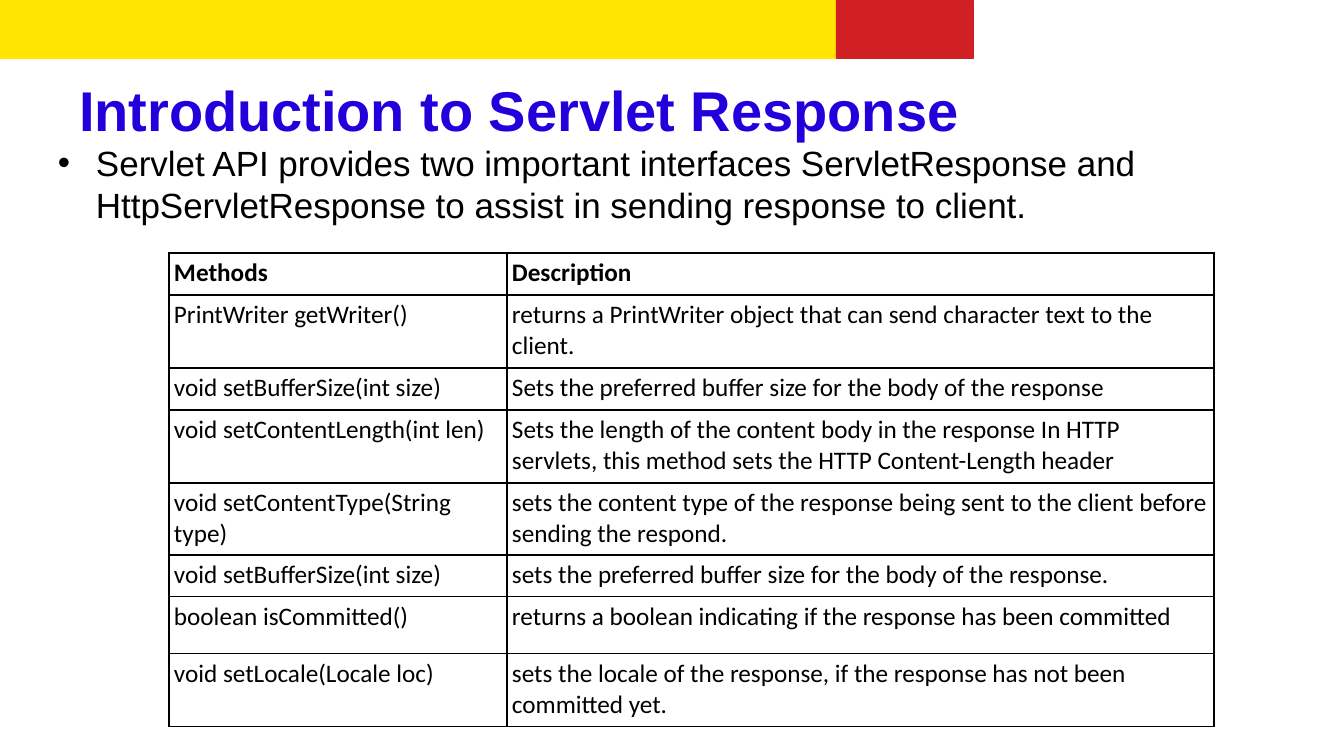
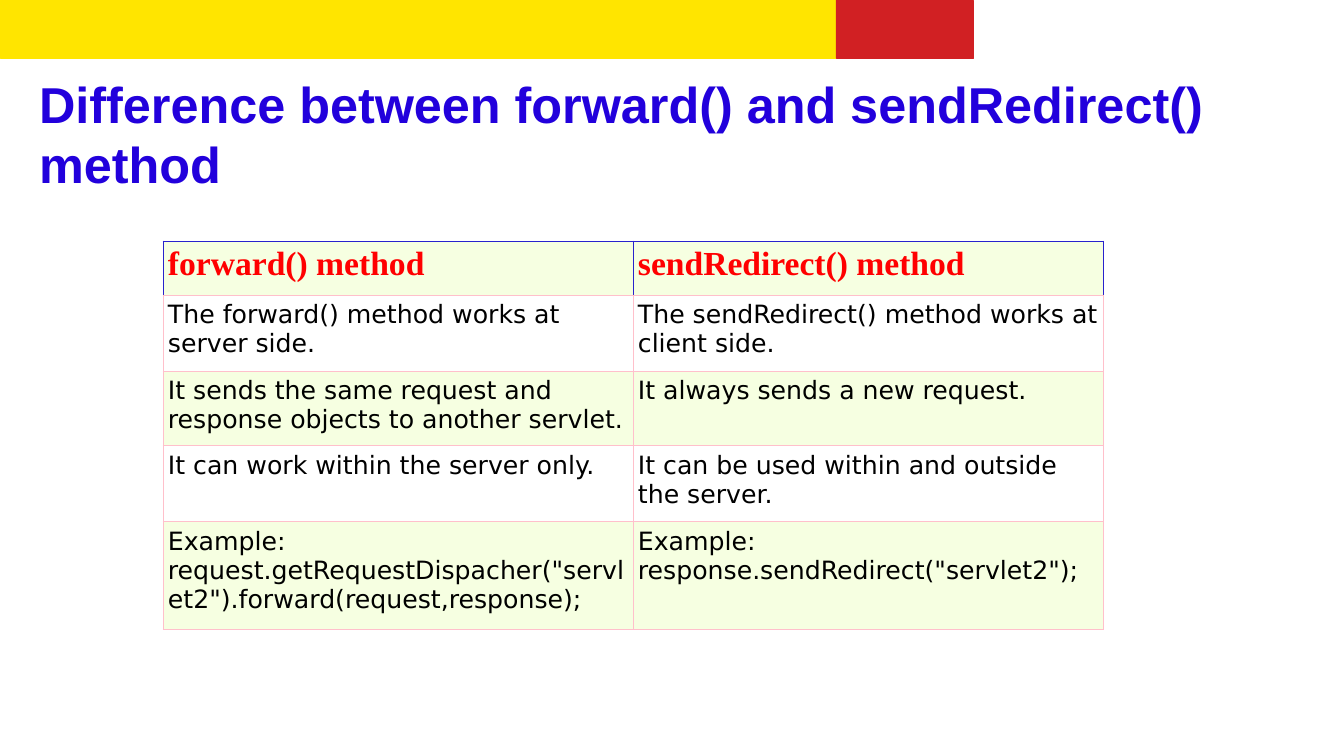
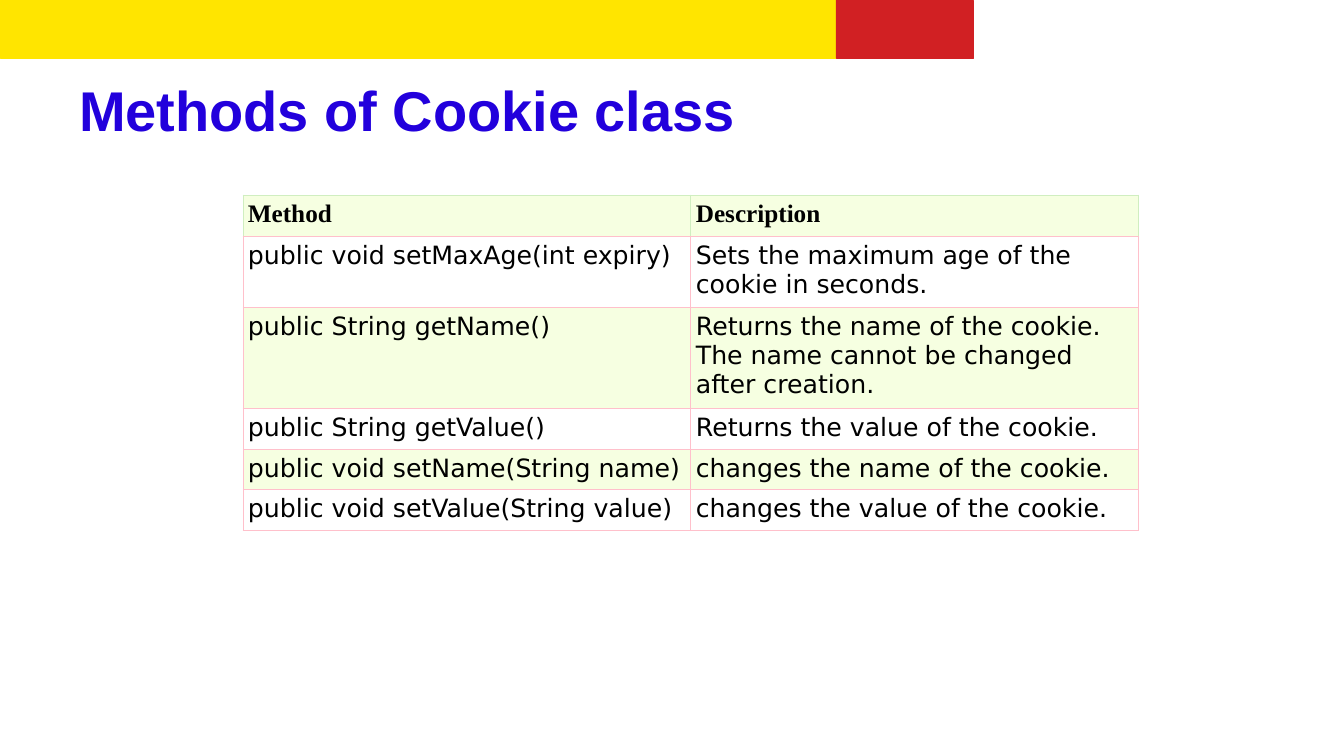
import pptx
import pptx.dml.color
import pptx.enum.shapes
import pptx.oxml
import pptx.oxml.ns
import pptx.util

RGB = pptx.dml.color.RGBColor
YELLOW = RGB(0xFF, 0xE5, 0x00)
CRIMSON = RGB(0xD1, 0x20, 0x23)
TITLE_BLUE = RGB(0x22, 0x00, 0xDC)
BORDER_BLUE = RGB(0x28, 0x22, 0xCD)
BLACK = RGB(0x00, 0x00, 0x00)
WHITE = RGB(0xFF, 0xFF, 0xFF)
RED = RGB(0xFF, 0x00, 0x00)
PINK = RGB(0xFF, 0xC0, 0xCB)
PALE_LIME = RGB(0xF6, 0xFF, 0xE1)
PALE_GREEN = RGB(0xD0, 0xEE, 0xC0)

SLIDE_WIDTH, SLIDE_HEIGHT = 1344, 756
BAND_HEIGHT = 58
CELL_INSET = 5
MARGINS = ("margin_left", "margin_top", "margin_right", "margin_bottom")

BODY_FORMAT = {"name": "DejaVu Sans", "size": 18, "color": BLACK, "bold": False}
STRIPED = {"body": BODY_FORMAT, "fills": (PALE_LIME, WHITE), "border": PINK, "border_pt": 0.75}
PLAIN_BODY = {"name": "Calibri", "size": 18, "color": BLACK, "bold": False}
PLAIN = {
    "header": PLAIN_BODY | {"bold": True},
    "body": PLAIN_BODY,
    "fills": (None,),
    "border": BLACK,
    "header_border": BLACK,
    "border_pt": 1,
}
COMPARISON = STRIPED | {
    "header": {"name": "Times New Roman", "size": 24, "color": RED, "bold": True},
    "header_border": BORDER_BLUE,
}
COOKIE = STRIPED | {
    "header": {"name": "Times New Roman", "size": 18, "color": BLACK, "bold": True},
    "header_border": PALE_GREEN,
}

RESPONSE_METHODS = [
    ("Methods", "Description"),
    ("PrintWriter getWriter()",
     "returns a PrintWriter object that can send character text to the client."),
    ("void setBufferSize(int size)",
     "Sets the preferred buffer size for the body of the response"),
    ("void setContentLength(int len)",
     "Sets the length of the content body in the response In HTTP servlets, "
     "this method sets the HTTP Content-Length header"),
    ("void setContentType(String type)",
     "sets the content type of the response being sent to the client before sending the respond."),
    ("void setBufferSize(int size)",
     "sets the preferred buffer size for the body of the response."),
    ("boolean isCommitted()",
     "returns a boolean indicating if the response has been committed"),
    ("void setLocale(Locale loc)",
     "sets the locale of the response, if the response has not been committed yet."),
]
FORWARD_VS_REDIRECT = [
    ("forward() method", "sendRedirect() method"),
    ("The forward() method works at server side.",
     "The sendRedirect() method works at client side."),
    ("It sends the same request and response objects to another servlet.",
     "It always sends a new request."),
    ("It can work within the server only.",
     "It can be used within and outside the server."),
    ('Example: request.getRequestDispacher("servlet2").forward(request,response);',
     'Example: response.sendRedirect("servlet2");'),
]
COOKIE_METHODS = [
    ("Method", "Description"),
    ("public void setMaxAge(int expiry)", "Sets the maximum age of the cookie in seconds."),
    ("public String getName()",
     "Returns the name of the cookie. The name cannot be changed after creation."),
    ("public String getValue()", "Returns the value of the cookie."),
    ("public void setName(String name)", "changes the name of the cookie."),
    ("public void setValue(String value)", "changes the value of the cookie."),
]


def px(length):
    return pptx.util.Emu(round(length * 914400 / 100.8))


def write(frame, text, text_format, inset=0):
    """Put one formatted run into a text frame or table cell."""
    for margin in MARGINS:
        setattr(frame, margin, px(inset))
    paragraph = getattr(frame, "text_frame", frame).paragraphs[0]
    font = paragraph.add_run().font
    paragraph.runs[0].text = text
    values = dict(text_format)
    font.color.rgb = values.pop("color")
    values["size"] = pptx.util.Pt(values["size"])
    for attribute, value in values.items():
        setattr(font, attribute, value)
    return paragraph


def add_text(slide, box, text, text_format):
    frame = slide.shapes.add_textbox(*map(px, box)).text_frame
    frame.word_wrap = True
    return write(frame, text, text_format)


def add_title(slide, text, box=(79, 75, 1186, 68), size=40):
    add_text(slide, box, text, {"name": "Arial", "size": size, "color": TITLE_BLUE, "bold": True})


def add_bullet(slide, box, text):
    paragraph = add_text(slide, box, text,
                         {"name": "Arial", "size": 25, "color": BLACK, "bold": False})
    properties = paragraph._p.get_or_add_pPr()
    indent = px(38)
    properties.set("marL", str(indent))
    properties.set("indent", str(-indent))
    for tag, key, value in (("buFont", "typeface", "Arial"), ("buChar", "char", "•")):
        bullet_part = pptx.oxml.parse_xml(
            f'<a:{tag} {pptx.oxml.ns.nsdecls("a")} {key}="{value}"/>')
        properties.append(bullet_part)


def add_band(slide, left, width, color):
    band = slide.shapes.add_shape(pptx.enum.shapes.MSO_SHAPE.RECTANGLE,
                                  px(left), 0, px(width), px(BAND_HEIGHT))
    band.shadow.inherit = False
    band.fill.solid()
    band.fill.fore_color.rgb = color
    band.line.color.rgb = color
    band.line.width = pptx.util.Pt(0.25)


def set_borders(cell, colors, width_pt):
    """Draw cell borders; colors are in the order left, right, top, bottom."""
    properties = cell._tc.get_or_add_tcPr()
    for position, (side, color) in enumerate(zip("LRTB", colors)):
        border = pptx.oxml.parse_xml(
            f'<a:ln{side} {pptx.oxml.ns.nsdecls("a")} w="{pptx.util.Pt(width_pt)}">'
            f'<a:solidFill><a:srgbClr val="{color}"/></a:solidFill></a:ln{side}>')
        properties.insert(position, border)


def add_grid(slide, left, top, column_widths, row_heights, rows, style):
    box = (left, top, sum(column_widths), sum(row_heights))
    table = slide.shapes.add_table(len(rows), len(column_widths), *map(px, box)).table
    table.first_row = table.horz_banding = False
    for column, width in zip(table.columns, column_widths):
        column.width = px(width)
    for index, (row, height, texts) in enumerate(zip(table.rows, row_heights, rows)):
        row.height = px(height)
        fill = style["fills"][index % len(style["fills"])]
        text_format = style["body" if index else "header"]
        side_color = style["border" if index else "header_border"]
        top_color = side_color
        for cell, text in zip(row.cells, texts):
            write(cell, text, text_format, CELL_INSET)
            if fill is None:
                cell.fill.background()
            else:
                cell.fill.solid()
                cell.fill.fore_color.rgb = fill
            set_borders(cell, (side_color, side_color, top_color, style["border"]),
                        style["border_pt"])


def add_slide(deck):
    slide = deck.slides.add_slide(deck.slide_layouts[6])
    add_band(slide, 0, 836, YELLOW)
    add_band(slide, 836, 137, CRIMSON)
    return slide


def main():
    deck = pptx.Presentation()
    deck.slide_width, deck.slide_height = px(SLIDE_WIDTH), px(SLIDE_HEIGHT)

    response = add_slide(deck)
    add_title(response, "Introduction to Servlet Response")
    add_bullet(response, (58, 142, 1227, 85),
               "Servlet API provides two important interfaces ServletResponse and "
               "HttpServletResponse to assist in sending response to client.")
    add_grid(response, 169, 253, (338, 707), (42, 73, 42, 73, 72, 42, 57, 73),
             RESPONSE_METHODS, PLAIN)

    comparison = add_slide(deck)
    add_title(comparison, "Difference between forward() and sendRedirect() method",
              (39, 73, 1186, 122), 36)
    add_grid(comparison, 163, 241, (470, 470), (54, 76, 75, 76, 108),
             FORWARD_VS_REDIRECT, COMPARISON)

    cookie = add_slide(deck)
    add_title(cookie, "Methods of Cookie class")
    add_grid(cookie, 243, 195, (448, 448), (41, 71, 101, 41, 40, 41),
             COOKIE_METHODS, COOKIE)

    deck.save("out.pptx")


if __name__ == "__main__":
    main()
